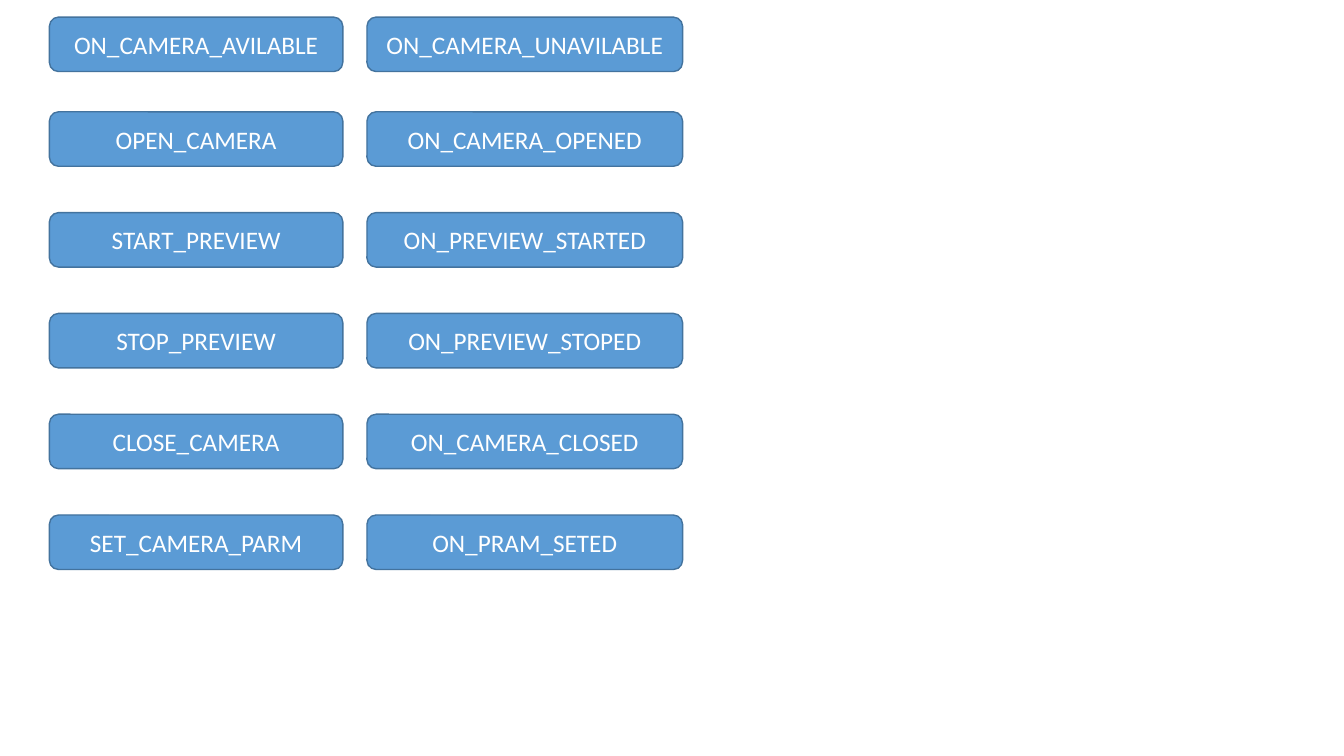
import pptx
import pptx.util
import pptx.dml.color
import pptx.enum.shapes
import pptx.enum.text

Inches, Pt = pptx.util.Inches, pptx.util.Pt


def rgb(value):
    return pptx.dml.color.RGBColor.from_string(value)


prs = pptx.Presentation()
prs.slide_width, prs.slide_height = Inches(13.33), Inches(7.5)
s = prs.slides.add_slide(prs.slide_layouts[6])

# Grid: commands on the left, callbacks on the right
columns = [(0.49, 2.91), (3.64, 3.13)]  # left, width
first_top, row_step, box_height = 1.11, 1.0, 0.54
availability_top = 0.17

messages = [
    ("OPEN_CAMERA", "ON_CAMERA_OPENED"),
    ("START_PREVIEW", "ON_PREVIEW_STARTED"),
    ("STOP_PREVIEW", "ON_PREVIEW_STOPED"),
    ("CLOSE_CAMERA", "ON_CAMERA_CLOSED"),
    ("SET_CAMERA_PARM", "ON_PRAM_SETED"),
]
rows = [(first_top + i * row_step, pair) for i, pair in enumerate(messages)]
rows.append((availability_top, ("ON_CAMERA_AVILABLE", "ON_CAMERA_UNAVILABLE")))

# Message boxes
for top, pair in rows:
    for (left, width), message in zip(columns, pair):
        sp = s.shapes.add_shape(
            pptx.enum.shapes.MSO_SHAPE.ROUNDED_RECTANGLE,
            Inches(left), Inches(top), Inches(width), Inches(box_height))
        sp.shadow.inherit = False
        sp.fill.solid()
        sp.fill.fore_color.rgb = rgb("5B9BD5")
        sp.line.color.rgb = rgb("43739E")
        sp.line.width = Pt(1)
        tf = sp.text_frame
        tf.word_wrap = True
        tf.vertical_anchor = pptx.enum.text.MSO_ANCHOR.MIDDLE
        p = tf.paragraphs[0]
        p.text = message
        p.alignment = pptx.enum.text.PP_ALIGN.CENTER
        p.font.name = "Calibri"
        p.font.size = Pt(18)
        p.font.color.rgb = rgb("FFFFFF")

prs.save("out.pptx")
